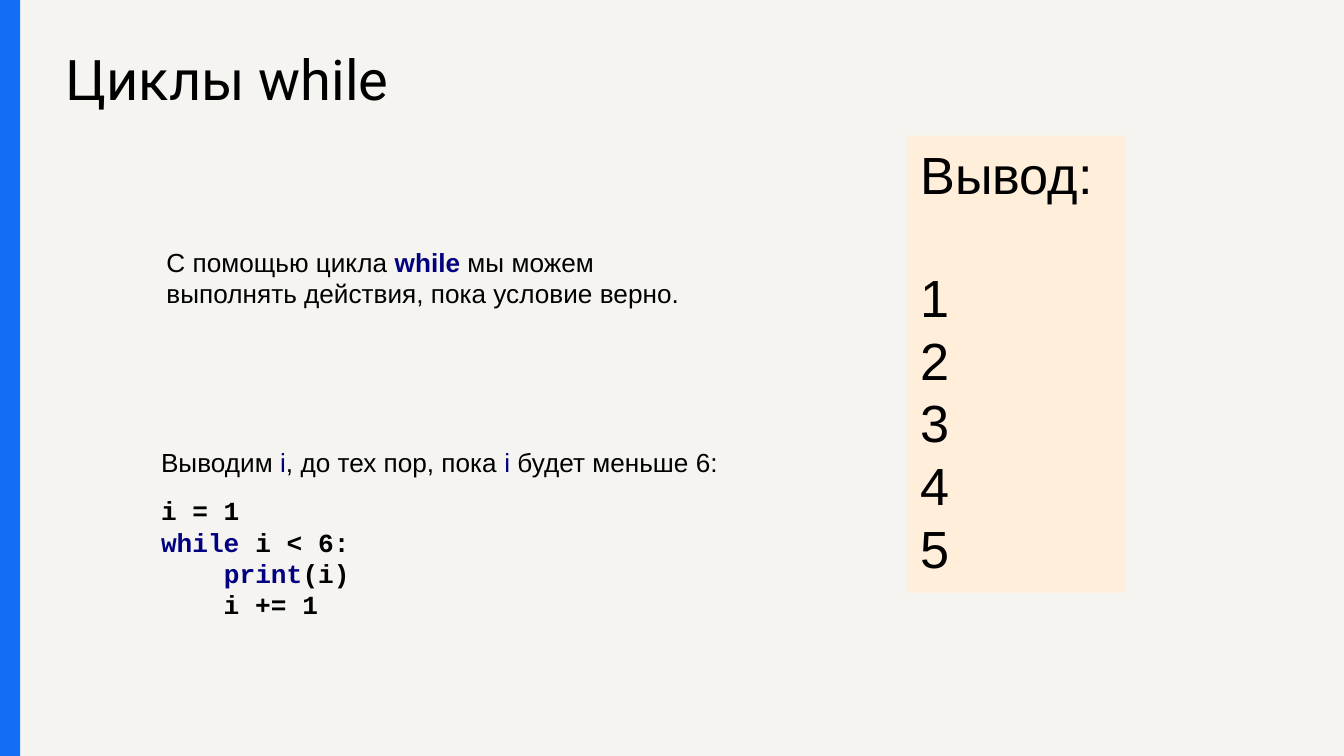
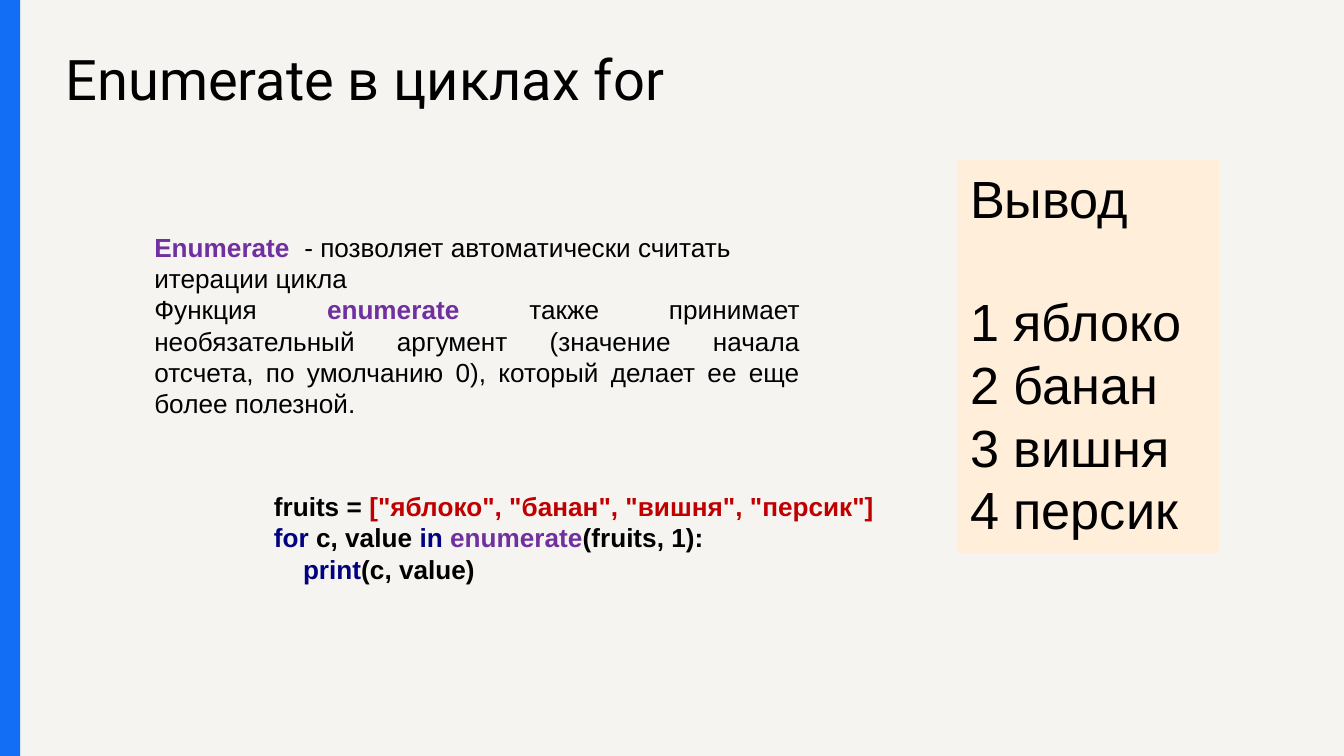
"""Build two slides on Python loops: while and enumerate."""
from dataclasses import dataclass

from pptx import Presentation
from pptx.dml.color import RGBColor
from pptx.enum.shapes import MSO_SHAPE
from pptx.enum.text import MSO_ANCHOR, PP_ALIGN
from pptx.util import Pt

RECTANGLE = MSO_SHAPE.RECTANGLE
TOP = MSO_ANCHOR.TOP
LEFT, JUSTIFY = PP_ALIGN.LEFT, PP_ALIGN.JUSTIFY


@dataclass(frozen=True)
class Theme:
    background: str = "F5F4F0"
    band: str = "136EF6"
    output: str = "FFEED9"
    ink: str = "000000"
    keyword: str = "000080"
    function: str = "7030A0"
    literal: str = "C00000"
    title_font: str = "Roboto"
    body_font: str = "Arial"
    code_font: str = "Courier New"
    title_size: float = 30
    body_size: float = 14
    output_size: float = 28
    code_gap: float = 9.2
    output_gap: float = 32.2


THEME = Theme()
WIDTH, HEIGHT = 720, 405
BAND_AREA = (0, 0, 10.8, HEIGHT)
TITLE_AREA = (28.1, 16.6, 607.7, 73.4)

KEYWORD = {"color": THEME.keyword}
BOLD_KEYWORD = {"color": THEME.keyword, "bold": True}
BOLD_FUNCTION = {"color": THEME.function, "bold": True}
LITERAL = {"color": THEME.literal}
CODE = {"font": THEME.code_font, "bold": True}

LESSONS = [
    {
        "title": "Циклы while",
        "texts": [
            ((82.1, 128.2, 303.8, 41), [
                (["С помощью цикла ", ("while", BOLD_KEYWORD),
                  " мы можем выполнять действия, пока условие верно."], {}),
            ]),
            ((79.2, 235.4, 360, 101.5), [
                (["Выводим ", ("i", KEYWORD), ", до тех пор, пока ", ("i", KEYWORD),
                  " будет меньше 6:"], {}),
                (["i = 1"], {**CODE, "before": THEME.code_gap}),
                ([("while", KEYWORD), " i < 6:"], CODE),
                (["    ", ("print", KEYWORD), "(i)"], CODE),
                (["    i += 1"], CODE),
            ]),
        ],
        "output_area": (486, 72.7, 116.6, 244.8),
        "output": ["Вывод:", "1", "2", "3", "4", "5"],
    },
    {
        "title": "Enumerate в циклах for",
        "texts": [
            ((75.6, 120.2, 360, 108.7), [
                ([("Enumerate ", BOLD_FUNCTION),
                  " - позволяет автоматически считать итерации цикла"], {}),
                (["Функция ", ("enumerate", BOLD_FUNCTION),
                  " также принимает необязательный аргумент (значение начала отсчета, "
                  "по умолчанию 0), который делает ее еще более полезной."],
                 {"align": JUSTIFY}),
            ]),
            ((139.7, 259.2, 360, 58.3), [
                (["fruits = ", ('["яблоко", "банан", "вишня", "персик"]', LITERAL)],
                 {"bold": True}),
                ([("for", KEYWORD), " c, value ", ("in ", KEYWORD),
                  ("enumerate", {"color": THEME.function}), "(fruits, 1):"],
                 {"bold": True}),
                (["    ", ("print", KEYWORD), "(c, value)"], {"bold": True}),
            ]),
        ],
        "output_area": (512.6, 85.7, 140.4, 211),
        "output": ["Вывод", "1 яблоко", "2 банан", "3 вишня", "4 персик"],
    },
]


def add_panel(slide, area, color):
    panel = slide.shapes.add_shape(RECTANGLE, *map(Pt, area))
    panel.shadow.inherit = False
    panel.fill.solid()
    panel.fill.fore_color.rgb = RGBColor.from_string(color)
    panel.line.fill.background()
    return panel


def add_text(slide, area, paragraphs, *, fill=None, inset=3.6,
             font=THEME.body_font, size=THEME.body_size):
    if fill:
        box = add_panel(slide, area, fill)
    else:
        box = slide.shapes.add_textbox(*map(Pt, area))
    frame = box.text_frame
    frame.word_wrap = True
    frame.vertical_anchor = TOP
    frame.margin_top = frame.margin_bottom = Pt(inset)
    for index, (pieces, style) in enumerate(paragraphs):
        paragraph = frame.add_paragraph() if index else frame.paragraphs[0]
        paragraph.alignment = style.get("align", LEFT)
        paragraph.space_before = Pt(style.get("before", 0))
        for piece in pieces:
            words, accent = (piece, {}) if isinstance(piece, str) else piece
            look = {"font": font, "color": THEME.ink, "bold": False, **style, **accent}
            run = paragraph.add_run()
            run.text = words
            run.font.name = look["font"]
            run.font.size = Pt(size)
            run.font.bold = look["bold"]
            run.font.color.rgb = RGBColor.from_string(look["color"])


def add_lesson(deck, lesson):
    slide = deck.slides.add_slide(deck.slide_layouts[6])
    slide.background.fill.solid()
    slide.background.fill.fore_color.rgb = RGBColor.from_string(THEME.background)
    add_text(slide, TITLE_AREA, [([lesson["title"]], {})], inset=7.2,
             font=THEME.title_font, size=THEME.title_size)
    add_panel(slide, BAND_AREA, THEME.band)
    for area, paragraphs in lesson["texts"]:
        add_text(slide, area, paragraphs)
    output = [([line], {"before": THEME.output_gap if index == 1 else 0})
              for index, line in enumerate(lesson["output"])]
    add_text(slide, lesson["output_area"], output, fill=THEME.output,
             size=THEME.output_size)


def main():
    deck = Presentation()
    deck.slide_width, deck.slide_height = Pt(WIDTH), Pt(HEIGHT)
    for lesson in LESSONS:
        add_lesson(deck, lesson)
    deck.save("out.pptx")


if __name__ == "__main__":
    main()
